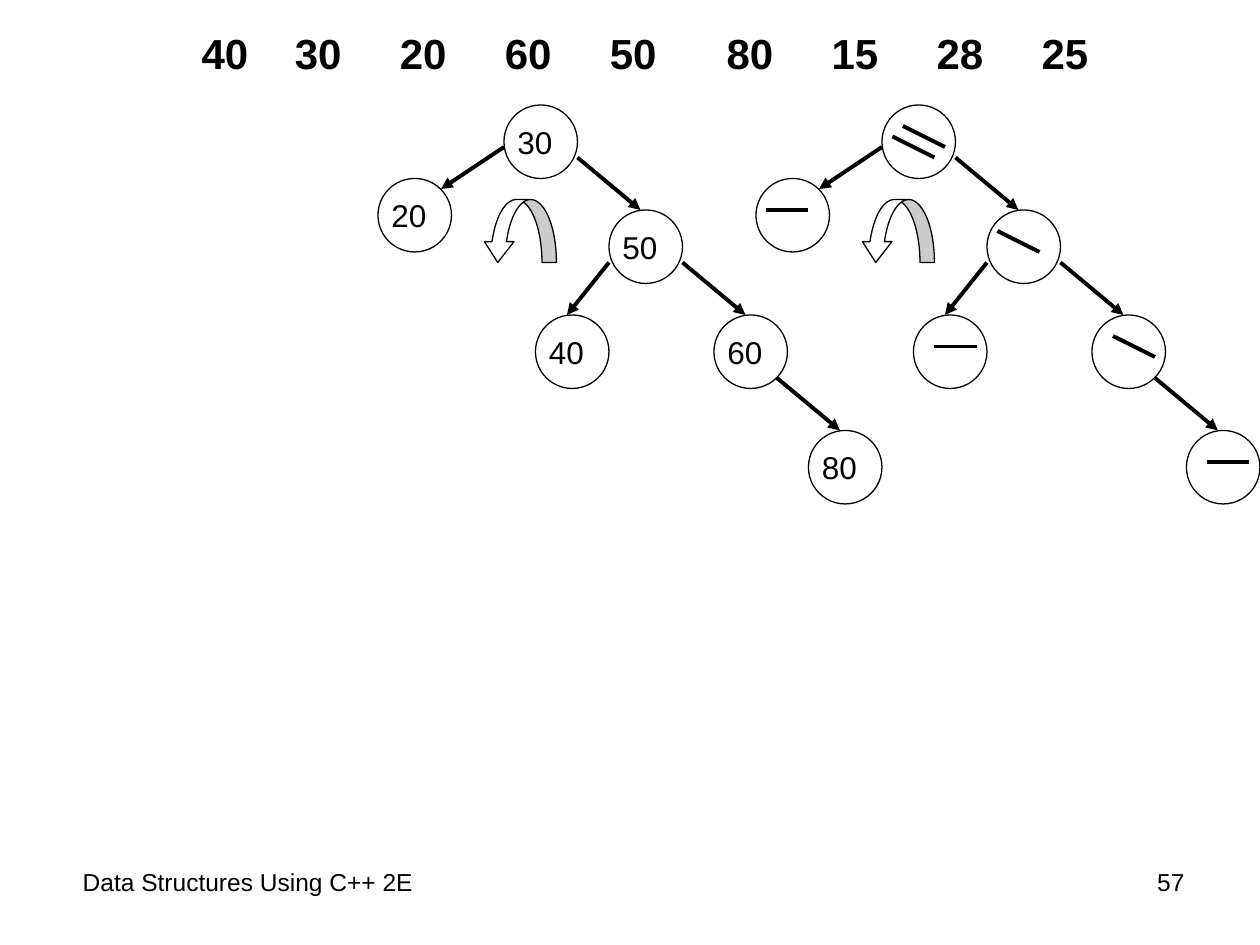
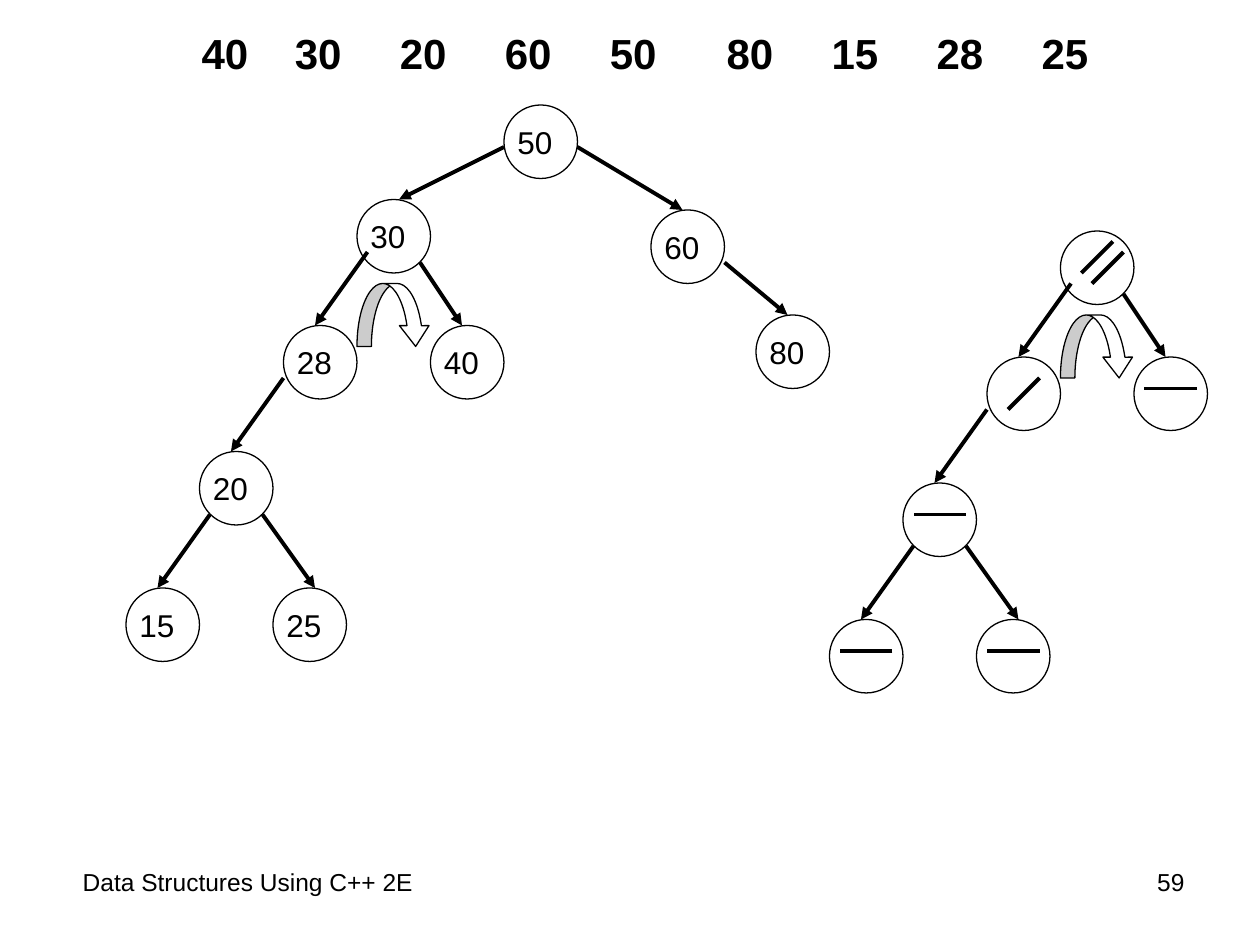
"""Build two slides of AVL tree rotations with their balance marks."""
from collections import namedtuple

from lxml.etree import SubElement
from pptx import Presentation
from pptx.dml.color import RGBColor
from pptx.enum.shapes import MSO_CONNECTOR as Link, MSO_SHAPE as Shape
from pptx.enum.text import MSO_ANCHOR as Anchor, MSO_AUTO_SIZE as AutoSize, PP_ALIGN as Align
from pptx.oxml.ns import qn
from pptx.util import Emu, Pt

EMU_PER_PX = 9525
BLACK, WHITE = "000000", "FFFFFF"
DIAMETER = 56
NUMBERS = "40 30 20 60 50 80 15 28 25".split()
TAB_STOPS = (71, 151, 231, 311, 400, 480, 560, 640)
HEADING = {"name": "Arial", "size": Pt(24), "bold": True}
LABEL = {"name": "Arial", "size": Pt(18)}
FOOTER = {"name": "Arial", "size": Pt(14)}

Node = namedtuple("Node", "label x y parent start marks end", defaults=[(24, 0)])
DOWN, RISE, FLAT, FLAT_WIDE = (32, 16), (-24, 24), (32, 0), (-40, 0)

LEFT_ROTATION = [
    Node("30", 384, 80, None, None, [(16, 16, DOWN), (8, 24, DOWN)]),
    Node("20", 288, 136, "30", (0, 32), [(8, 24, FLAT)], (48, 8)),
    Node("50", 464, 160, "30", (56, 40), [(8, 16, DOWN)]),
    Node("60", 544, 240, "50", (56, 40), [(16, 16, DOWN)]),
    Node("40", 408, 240, "50", (0, 40), [(16, 24, FLAT)]),
    Node("80", 616, 328, "60", (48, 48), [(16, 24, FLAT)]),
]
LEVEL = [(48, 24, FLAT_WIDE)]
RIGHT_ROTATION = [
    Node("50", 384, 80, None, None, []),
    Node("30", 272, 152, "50", (0, 32), [(40, 8, RISE), (48, 16, RISE)], (32, 0)),
    Node("60", 496, 160, "50", (56, 32), []),
    Node("80", 576, 240, "60", (56, 40), []),
    Node("28", 216, 248, "30", (8, 40), [(40, 16, RISE)]),
    Node("40", 328, 248, "30", (48, 48), LEVEL),
    Node("20", 152, 344, "28", (0, 40), LEVEL),
    Node("25", 208, 448, "20", (48, 48), LEVEL, (32, 0)),
    Node("15", 96, 448, "20", (8, 48), LEVEL),
]


def px(*lengths):
    return [Emu(length * EMU_PER_PX) for length in lengths]


def color(value):
    return RGBColor.from_string(value)


class TreeDeck:
    def __init__(self):
        self.deck = Presentation()
        self.deck.slide_width, self.deck.slide_height = px(960, 720)
        self.page = None

    def add_page(self, number):
        self.page = self.deck.slides.add_slide(self.deck.slide_layouts[5])
        self.heading()
        self.text_box("Data Structures Using C++ 2E", 48, 656, 728, 50, margin=15)
        self.text_box(number, 824, 656, 88, 50, align=Align.RIGHT)

    def fill_text(self, box, text, style, align=Align.LEFT, **frame_format):
        frame = box.text_frame
        settings = {"word_wrap": True, "auto_size": AutoSize.NONE,
                    "vertical_anchor": Anchor.TOP, **frame_format}
        for name, value in settings.items():
            setattr(frame, name, value)
        para = frame.paragraphs[0]
        para.alignment = align
        span = para.add_run()
        span.text = text
        for name, value in style.items():
            setattr(span.font, name, value)
        span.font.color.rgb = color(BLACK)
        return para

    def heading(self):
        title = self.page.shapes.title
        title.left, title.top, title.width, title.height = px(144, 16, 720, 48)
        para = self.fill_text(title, "\t".join(NUMBERS), HEADING)
        tabs = SubElement(para._p.get_or_add_pPr(), qn("a:tabLst"))
        for stop in px(*TAB_STOPS):
            SubElement(tabs, qn("a:tab"), pos=str(int(stop)), algn="l")

    def text_box(self, text, x, y, width, height, align=Align.LEFT, margin=10):
        box = self.page.shapes.add_textbox(*px(x, y, width, height))
        self.fill_text(box, text, FOOTER, align, margin_left=px(margin)[0])

    def outlined(self, kind, x, y, width, height):
        shape = self.page.shapes.add_shape(kind, *px(x, y, width, height))
        shape.shadow.inherit = False
        shape.fill.solid()
        shape.fill.fore_color.rgb = color(WHITE)
        shape.line.color.rgb = color(BLACK)
        shape.line.width = Pt(0.75)
        return shape

    def circle(self, x, y, label=None):
        shape = self.outlined(Shape.OVAL, x, y, DIAMETER, DIAMETER)
        if label:
            inset, none = px(2, 0)
            self.fill_text(shape, label, LABEL, vertical_anchor=Anchor.MIDDLE, margin_left=inset,
                           margin_right=none, margin_top=none, margin_bottom=none)

    def line(self, x1, y1, x2, y2, arrow=False):
        connector = self.page.shapes.add_connector(Link.STRAIGHT, *px(x1, y1, x2, y2))
        connector.line.color.rgb = color(BLACK)
        connector.line.width = Pt(2.25)
        if arrow:
            SubElement(connector.line._get_or_add_ln(), qn("a:tailEnd"), type="triangle")
        SubElement(connector._element.spPr, qn("a:effectLst"))

    def turn(self, x, y, leftward):
        shape = self.outlined(Shape.CURVED_DOWN_ARROW, x, y, DIAMETER, 48)
        for index, value in enumerate((0.23, 0.47, 0.33)):
            shape.adjustments[index] = value
        if leftward:
            shape._element.spPr.find(qn("a:xfrm")).set("flipH", "1")

    def tree(self, nodes, turn_at, leftward, shift=(0, 0), labelled=True):
        dx, dy = shift
        places = {node.label: (node.x + dx, node.y + dy) for node in nodes}
        for node in nodes:
            x, y = places[node.label]
            if node.parent in places:
                parent_x, parent_y = places[node.parent]
                self.line(parent_x + node.start[0], parent_y + node.start[1],
                          x + node.end[0], y + node.end[1], arrow=True)
            self.circle(x, y, node.label if labelled else None)
            if not labelled:
                for left, top, (run, drop) in node.marks:
                    self.line(x + left, y + top, x + left + run, y + top + drop)
        self.turn(turn_at[0] + dx, turn_at[1] + dy, leftward)

    def rotation(self, number, nodes, turn_at, leftward, shift):
        self.add_page(number)
        self.tree(nodes, turn_at, leftward)
        marked = [node for node in nodes if node.marks]
        self.tree(marked, turn_at, leftward, shift, labelled=False)


def main():
    slides = TreeDeck()
    slides.rotation("57", LEFT_ROTATION, (368, 152), True, (288, 0))
    slides.rotation("59", RIGHT_ROTATION, (272, 216), False, (536, 24))
    slides.deck.save("out.pptx")


if __name__ == "__main__":
    main()
